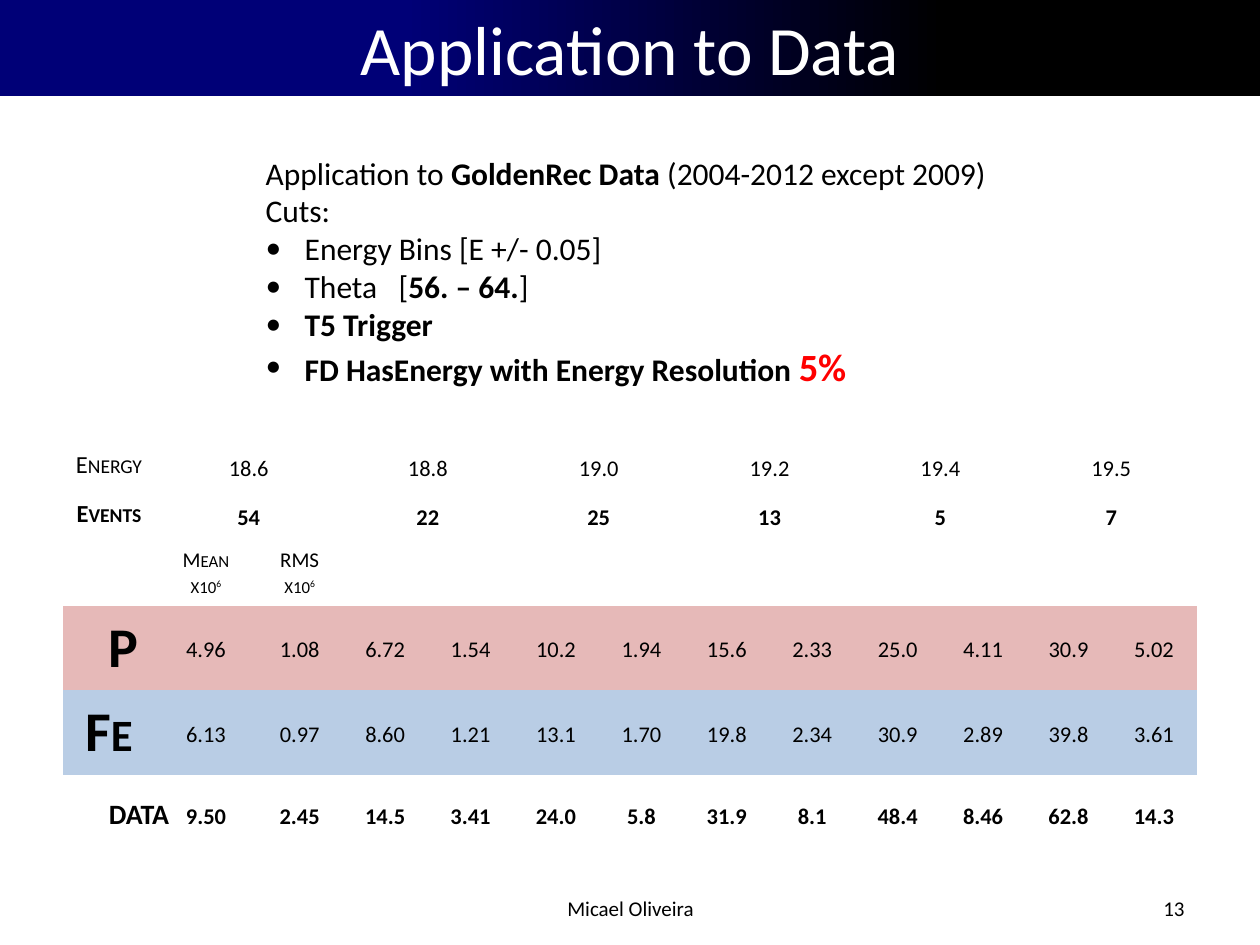
import pptx
import pptx.util
import pptx.dml.color
import pptx.enum.text
import pptx.oxml
import pptx.oxml.ns
from dataclasses import dataclass

Inches = pptx.util.Inches
Align = pptx.enum.text.PP_ALIGN
Anchor = pptx.enum.text.MSO_ANCHOR


@dataclass(frozen=True)
class Theme:
    """Colours, fonts and type sizes of the slide."""
    font: str = "Calibri"
    black: str = "000000"
    white: str = "FFFFFF"
    navy: str = "000077"
    red: str = "FF0000"
    pink: str = "E6B9B8"
    blue: str = "B9CDE5"
    title: float = 39.6
    body: float = 18
    accent: float = 22
    foot: float = 12
    unit: float = 12
    label: float = 14
    value: float = 16
    mass: float = 32
    plain: str = "{2D5ABB26-0587-4C30-8999-92F81FD0307C}"


THEME = Theme()


def style(run, size, color=THEME.black, bold=False):
    """Format one run."""
    run.font.name = THEME.font
    run.font.size = pptx.util.Pt(size)
    run.font.bold = bold
    run.font.color.rgb = pptx.dml.color.RGBColor.from_string(color)


def add_run(para, text, size, color=THEME.black, bold=False):
    """Append a formatted run and return it."""
    run = para.add_run()
    run.text = text
    style(run, size, color, bold)
    return run


def add_box(slide, box):
    """Add a wrapping text box and return its frame."""
    frame = slide.shapes.add_textbox(*map(Inches, box)).text_frame
    frame.word_wrap = True
    return frame


def add_title(slide, box, text):
    """Turn the title placeholder into a gradient banner."""
    title = slide.shapes.title
    title.left, title.top, title.width, title.height = map(Inches, box)
    title.fill.gradient()
    title.fill.gradient_angle = 0
    ramp = ((0.32, THEME.navy), (0.75, THEME.black))
    for stop, (place, color) in zip(title.fill.gradient_stops, ramp):
        stop.position = place
        stop.color.rgb = pptx.dml.color.RGBColor.from_string(color)
    frame = title.text_frame
    frame.text = text
    frame.auto_size = pptx.enum.text.MSO_AUTO_SIZE.NONE
    frame.vertical_anchor = Anchor.TOP
    frame.paragraphs[0].alignment = Align.CENTER
    style(frame.paragraphs[0].runs[0], THEME.title, THEME.white)


def add_foot(slide, box, text, align):
    """Add one line of footer text."""
    frame = add_box(slide, box)
    frame.vertical_anchor = Anchor.MIDDLE
    frame.text = text
    frame.paragraphs[0].alignment = align
    style(frame.paragraphs[0].runs[0], THEME.foot)


def add_cuts(slide, box, lines):
    """Add the list of cuts from (bulleted, parts) lines."""
    frame = add_box(slide, box)
    space = pptx.oxml.ns.nsdecls("a")
    for pos, (bullet, parts) in enumerate(lines):
        para = frame.add_paragraph() if pos else frame.paragraphs[0]
        if bullet:
            props = para._p.get_or_add_pPr()
            props.set("marL", str(Inches(0.31)))
            props.set("indent", str(-Inches(0.31)))
            for mark in (f"<a:buFont {space} typeface='{THEME.font}'/>",
                         f"<a:buChar {space} char='•'/>"):
                props.append(pptx.oxml.parse_xml(mark))
        for text, bold, *look in parts:
            add_run(para, text, *(look or (THEME.body, THEME.black)), bold)


def fill_cell(cell, text, size, bold=False, power=""):
    """Write centred small capitals with an optional exponent."""
    para = cell.text_frame.paragraphs[0]
    para.alignment = Align.CENTER
    runs = [add_run(para, text, size, bold=bold)]
    if power:
        runs.append(add_run(para, power, size, bold=bold))
        runs[1]._r.get_or_add_rPr().set("baseline", "30000")
    for run in runs:
        run._r.get_or_add_rPr().set("cap", "small")


def add_grid(slide, box, heads, masses):
    """Add the table of energy bins above rows of mean and RMS."""
    highs = (0.39, 0.39, 0.51, 0.67, 0.67, 0.63)
    count = len(masses[0][1]) + 1
    grid = slide.shapes.add_table(len(highs), count, *map(Inches, box)).table
    grid.first_row = grid.horz_banding = False
    grid._tbl.tblPr.find(pptx.oxml.ns.qn("a:tableStyleId")).text = THEME.plain
    first = (0.73, 0.81)
    rest = (box[2] - sum(first)) / (count - len(first))
    for pos, col in enumerate(grid.columns):
        col.width = Inches(first[pos] if pos < len(first) else rest)
    for row, high in zip(grid.rows, highs):
        row.height = Inches(high)
    for cell in grid.iter_cells():
        cell.fill.background()

    for row, (label, values, bold) in enumerate(heads):
        fill_cell(grid.cell(row, 0), label, THEME.label, bold)
        for pos, value in enumerate(values):
            left = 1 + 2 * pos
            grid.cell(row, left).merge(grid.cell(row, left + 1))
            fill_cell(grid.cell(row, left), value, THEME.value, bold)
    for col, text in enumerate(("Mean x10", "RMS x10"), 1):
        fill_cell(grid.cell(2, col), text, THEME.unit, power="6")

    for row, (label, values, size, color, bold) in enumerate(masses, 3):
        for col, text in enumerate([label] + values):
            cell = grid.cell(row, col)
            cell.vertical_anchor = Anchor.MIDDLE
            if color:
                cell.fill.solid()
                cell.fill.fore_color.rgb = (
                    pptx.dml.color.RGBColor.from_string(color))
            fill_cell(cell, text, THEME.value if col else size,
                      bold or not col)


def main():
    """Build and save the slide."""
    deck = pptx.Presentation()
    deck.slide_width, deck.slide_height = Inches(10), Inches(7.5)
    slide = deck.slides.add_slide(deck.slide_layouts[5])
    add_title(slide, (0, 0, 10, 0.76), "Application to Data")
    add_foot(slide, (3.42, 7.01, 3.17, 0.4), "Micael Oliveira", Align.CENTER)
    add_foot(slide, (7.17, 7.01, 2.33, 0.4), "13", Align.RIGHT)
    add_cuts(slide, (2.01, 1.17, 5.97, 1.99), [
        (False, [("Application to ", False), ("GoldenRec Data", True),
                 (" (2004-2012 except 2009)", False)]),
        (False, [("Cuts:", False)]),
        (True, [("Energy Bins [E +/- 0.05]", False)]),
        (True, [("Theta   [", False), ("56. – 64.", True), ("]", False)]),
        (True, [("T5 Trigger", True)]),
        (True, [("FD HasEnergy with Energy Resolution ", True),
                ("5%", True, THEME.accent, THEME.red)]),
    ])
    heads = [
        ("Energy", "18.6 18.8 19.0 19.2 19.4 19.5".split(), False),
        ("Events", "54 22 25 13 5 7".split(), True),
    ]
    masses = [
        ("P", "4.96 1.08 6.72 1.54 10.2 1.94 15.6 2.33 25.0 4.11 30.9 5.02"
         .split(), THEME.mass, THEME.pink, False),
        ("Fe", "6.13 0.97 8.60 1.21 13.1 1.70 19.8 2.34 30.9 2.89 39.8 3.61"
         .split(), THEME.mass, THEME.blue, False),
        ("DATA", "9.50 2.45 14.5 3.41 24.0 5.8 31.9 8.1 48.4 8.46 62.8 14.3"
         .split(), THEME.value, None, True),
    ]
    add_grid(slide, (0.5, 3.52, 9, 3.26), heads, masses)
    deck.save("out.pptx")


if __name__ == "__main__":
    main()
